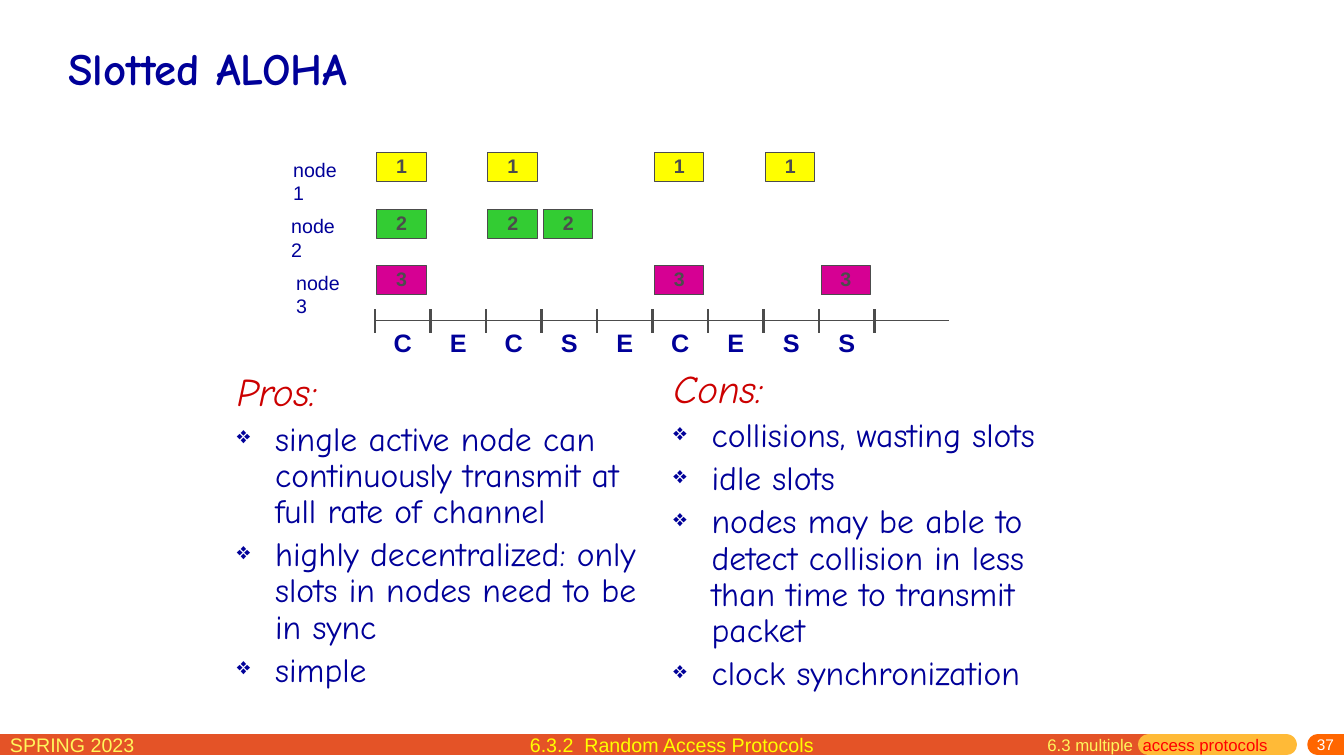
from lxml import etree
from pptx import Presentation
from pptx.dml.color import RGBColor
from pptx.enum.shapes import MSO_CONNECTOR, MSO_SHAPE
from pptx.enum.text import MSO_ANCHOR, PP_ALIGN
from pptx.oxml.ns import qn
from pptx.util import Inches, Pt

STRAIGHT = MSO_CONNECTOR.STRAIGHT
RECTANGLE = MSO_SHAPE.RECTANGLE
TOP, MIDDLE = MSO_ANCHOR.TOP, MSO_ANCHOR.MIDDLE
LEFT, CENTER, RIGHT = PP_ALIGN.LEFT, PP_ALIGN.CENTER, PP_ALIGN.RIGHT

WHITE = RGBColor(0xFF, 0xFF, 0xFF)
NAVY = RGBColor(0x00, 0x00, 0x99)
GRAY = RGBColor(0x4C, 0x4C, 0x4C)
YELLOW = RGBColor(0xFF, 0xFF, 0x00)
GREEN = RGBColor(0x33, 0xCC, 0x33)
MAGENTA = RGBColor(0xD6, 0x00, 0x93)
CRIMSON = RGBColor(0xCC, 0x00, 0x00)
RED = RGBColor(0xFF, 0x00, 0x00)
PALE_YELLOW = RGBColor(0xFF, 0xF6, 0x5C)
BRICK = RGBColor(0xE4, 0x53, 0x27)
AMBER = RGBColor(0xFF, 0xBA, 0x37)
ORANGE = RGBColor(0xFF, 0x66, 0x00)

# Timeline grid, in percent of the slide's width (columns) and height (rows)
TIMELINE_LEFT, SLOT = 27.9, 4.13
LANES_TOP, LANE = 20.2, 7.47
AXIS_Y = 42.4
SLOT_RESULTS = "CECSECESS"
NODES = [  # label left, packet colour, slots used
    (21.08, YELLOW, (0, 2, 5, 7)),
    (20.93, GREEN, (0, 2, 3)),
    (21.3, MAGENTA, (0, 5, 8)),
]

PROS = [
    "single active node can continuously transmit at full rate of channel",
    "highly decentralized: only slots in nodes need to be in sync",
    "simple",
]
CONS = [
    "collisions, wasting slots",
    "idle slots",
    "nodes may be able to detect collision in less than time to transmit packet",
    "clock synchronization",
]


class SlidePainter:
    """Draws on one slide; every place and length is a percentage of its size."""

    heading_font = "Comic Neue"
    label_font = "Arial"

    def __init__(self, deck):
        self.slide = deck.slides.add_slide(deck.slide_layouts[6])
        self.width, self.height = deck.slide_width, deck.slide_height

    def place(self, x, y):
        return round(self.width * x / 100), round(self.height * y / 100)

    def span(self, para, words, size, color, font=label_font, bold=False, italic=False):
        span = para.add_run()
        span.text = words
        span.font.name, span.font.size = font, Pt(size)
        span.font.color.rgb = color
        span.font.bold, span.font.italic = bold, italic

    def text(self, x, y, width, height, spans, align=LEFT, anchor=TOP, wrap=True):
        """Adds a one-paragraph box; spans holds tuples of span arguments."""
        box = self.slide.shapes.add_textbox(*self.place(x, y), *self.place(width, height))
        frame = box.text_frame
        frame.word_wrap, frame.vertical_anchor = wrap, anchor
        frame.paragraphs[0].alignment = align
        for span in spans:
            self.span(frame.paragraphs[0], *span)
        return frame

    def line(self, x1, y1, x2, y2, color, weight, cap="flat"):
        line = self.slide.shapes.add_connector(
            STRAIGHT, *self.place(x1, y1), *self.place(x2, y2))
        line.line.color.rgb, line.line.width = color, Pt(weight)
        properties = line._element.spPr
        properties.find(qn("a:ln")).set("cap", cap)
        etree.SubElement(properties, qn("a:effectLst"))

    def packet(self, x, y, digit, color):
        packet = self.slide.shapes.add_shape(
            RECTANGLE, *self.place(x, y), *self.place(3.68, 3.87))
        packet.shadow.inherit = False
        packet.fill.solid()
        packet.fill.fore_color.rgb = color
        packet.line.color.rgb, packet.line.width = GRAY, Pt(0.75)
        frame = packet.text_frame
        frame.vertical_anchor = MIDDLE
        frame.margin_top, frame.margin_bottom = 0, Inches(0.03)
        frame.paragraphs[0].alignment = CENTER
        self.span(frame.paragraphs[0], digit, 14, GRAY, bold=True)

    def bullet_list(self, x, y, heading, items):
        frame = self.text(x, y, 31.28, 46.67,
                          [(heading, 28, CRIMSON, self.heading_font, False, True)])
        frame.paragraphs[0].line_spacing = 0.9
        for item in items:
            para = frame.add_paragraph()
            properties = para._p.get_or_add_pPr()
            properties.set("marL", str(Inches(0.38)))
            properties.set("indent", str(-Inches(0.38)))
            etree.SubElement(properties, qn("a:buSzPct"), val="70000")
            etree.SubElement(properties, qn("a:buChar"), char="❖")
            para.line_spacing, para.space_before = 0.9, Pt(4.8)
            self.span(para, item, 24, NAVY, self.heading_font)


def draw_timeline(page):
    for number, (label_left, color, slots) in enumerate(NODES, start=1):
        top = LANES_TOP + (number - 1) * LANE
        page.text(label_left, top, 5.93, 4.4, [(f"node {number}", 14, NAVY)], wrap=False)
        for slot in slots:
            page.packet(TIMELINE_LEFT + 0.15 + slot * SLOT, top, str(number), color)
    page.line(27.83, AXIS_Y, 70.6, AXIS_Y, GRAY, 0.75)
    for tick in range(len(SLOT_RESULTS) + 1):
        x = TIMELINE_LEFT + tick * SLOT
        page.line(x, AXIS_Y - 1.5, x, AXIS_Y + 1.6, GRAY, 1.5)
    for slot, result in enumerate(SLOT_RESULTS):
        page.text(TIMELINE_LEFT + slot * SLOT, AXIS_Y + 0.2, SLOT, 5.33,
                  [(result, 18, NAVY, page.label_font, True)], CENTER, wrap=False)


def draw_footer(page):
    for start, end, color, cap in [(0, 85.45, BRICK, "flat"),
                                   (85.45, 95.72, AMBER, "rnd"),
                                   (98.05, 100, ORANGE, "rnd")]:
        page.line(start, 98.53, end, 98.53, color, 15, cap)
    page.text(0, 96.27, 17.18, 4.13, [("SPRING 2023", 14, PALE_YELLOW)])
    page.text(32.56, 96.27, 34.88, 4.53,
              [("6.3.2  Random Access Protocols", 14, YELLOW)], CENTER)
    page.text(77.19, 96.53, 18.3, 4.13, [("6.3 multiple  ", 12, PALE_YELLOW),
                                         ("access protocols", 12, RED)])
    number = page.text(80.65, 97.6, 19.35, 2.4, [("37", 11, WHITE)], RIGHT, MIDDLE)
    number.margin_top = 0


def main():
    deck = Presentation()
    deck.slide_width, deck.slide_height = Inches(13.33), Inches(7.5)
    page = SlidePainter(deck)
    page.text(4.35, 3.73, 91.37, 10.53,
              [("Slotted ALOHA", 32, NAVY, page.heading_font, True)], anchor=MIDDLE)
    draw_timeline(page)
    page.bullet_list(16.88, 48.67, "Pros:", PROS)
    page.bullet_list(49.36, 48.27, "Cons:", CONS)
    draw_footer(page)
    deck.save("out.pptx")


if __name__ == "__main__":
    main()
